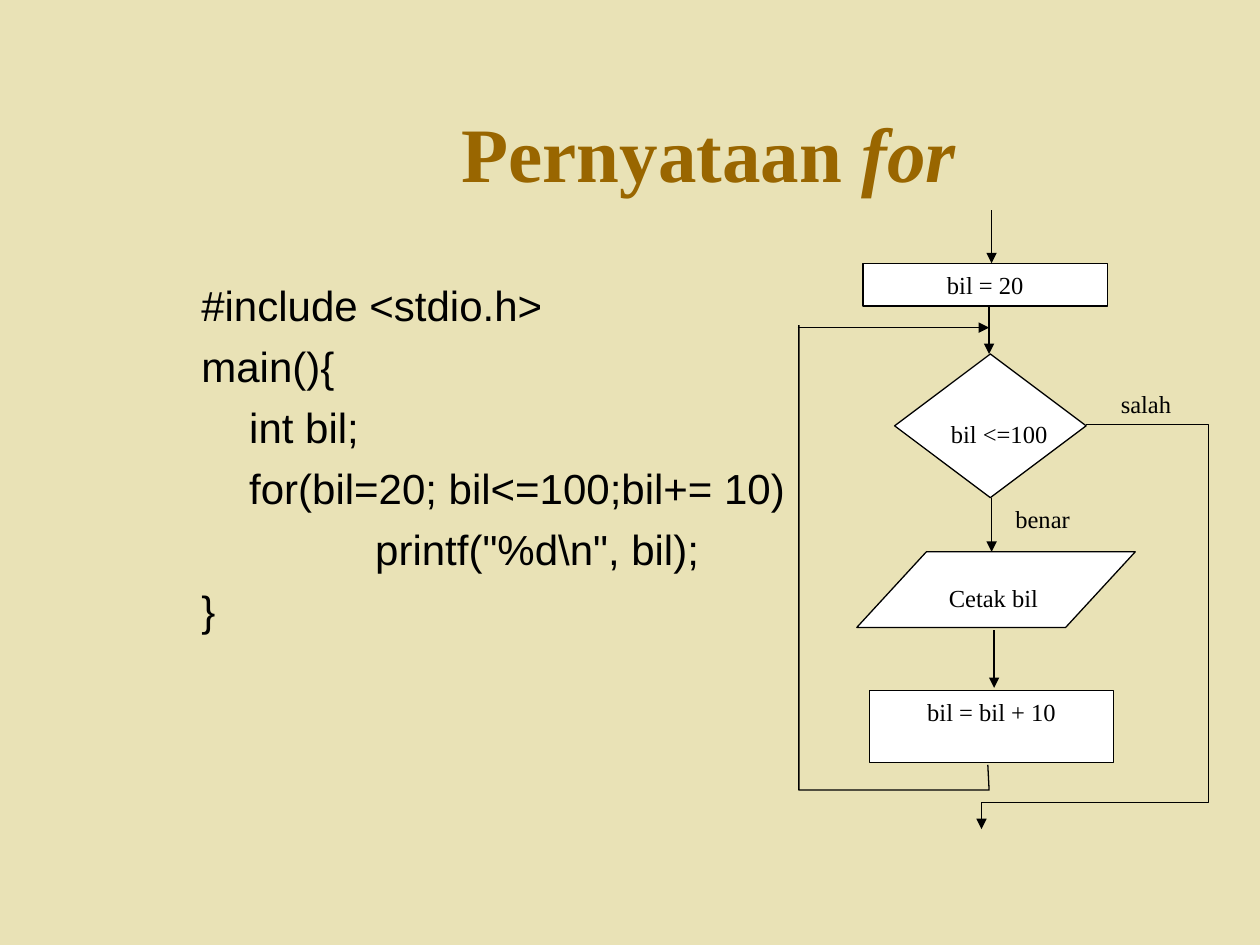
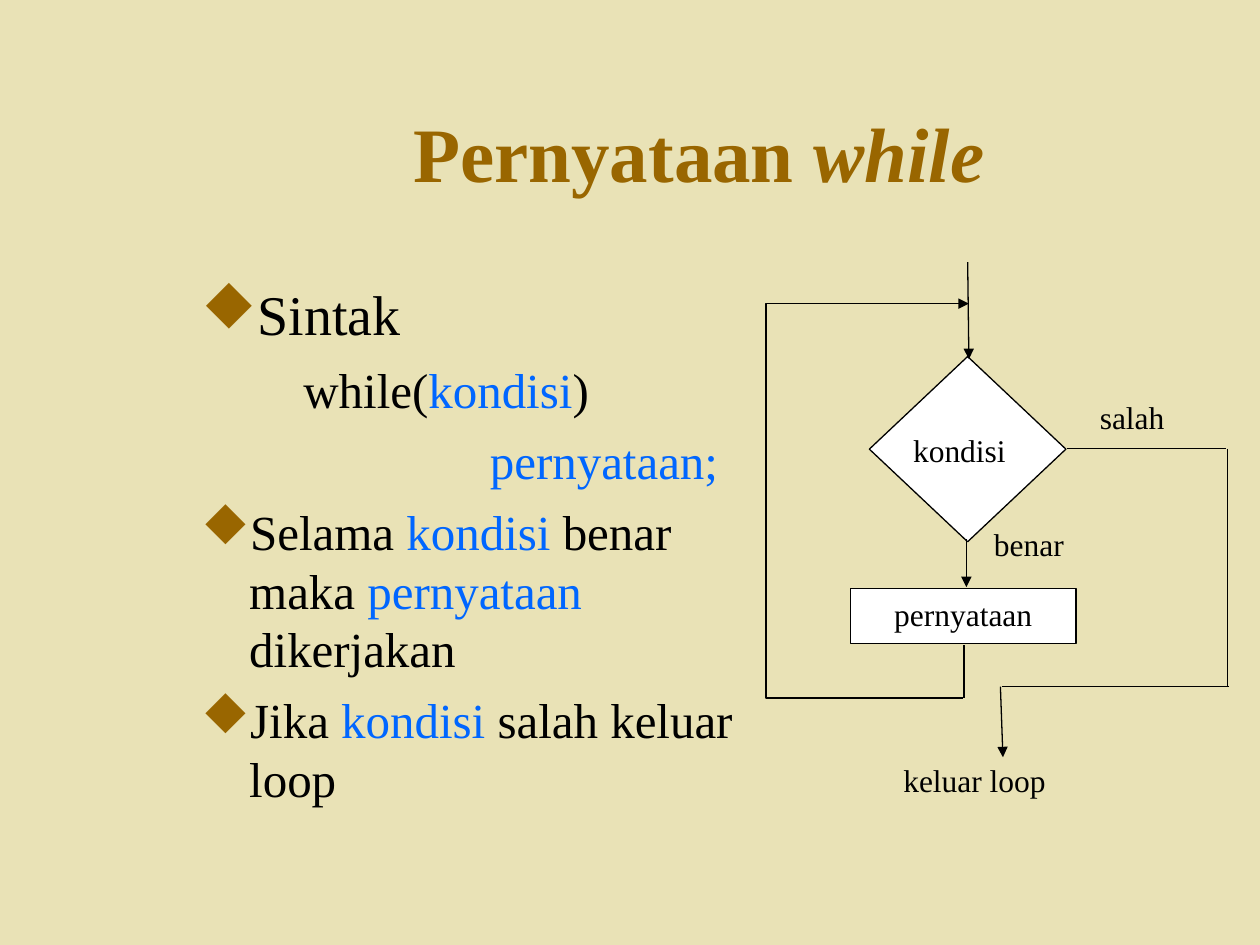
from lxml import etree
from pptx import Presentation
from pptx.dml.color import RGBColor
from pptx.enum import shapes, text
from pptx.oxml.ns import qn
from pptx.util import Inches, Pt

COLORS = {
    "background": "E9E2B6",
    "accent": "996600",
    "term": "0066FF",
    "ink": "000000",
    "paper": "FFFFFF",
}
SERIF = "Times New Roman"
SANS = "Arial"
CENTER = text.PP_ALIGN.CENTER
LEFT = text.PP_ALIGN.LEFT
SHAPE = shapes.MSO_SHAPE


def color(name):
    return RGBColor.from_string(COLORS[name])


def add_slide(presentation):
    slide = presentation.slides.add_slide(presentation.slide_layouts[6])
    slide.background.fill.solid()
    slide.background.fill.fore_color.rgb = color("background")
    return slide


def add_run(paragraph, words, size, font=SERIF, ink="ink", bold=False, italic=False):
    run = paragraph.add_run()
    run.text = words
    run.font.name = font
    run.font.size = Pt(size)
    run.font.color.rgb = color(ink)
    run.font.bold = bold
    run.font.italic = italic


def add_text_frame(slide, box, anchor=text.MSO_ANCHOR.TOP):
    frame = slide.shapes.add_textbox(*map(Inches, box)).text_frame
    frame.word_wrap = True
    frame.vertical_anchor = anchor
    return frame


def add_title(slide, keyword):
    frame = add_text_frame(slide, (1.5, 0.58, 8.25, 1.25), text.MSO_ANCHOR.MIDDLE)
    paragraph = frame.paragraphs[0]
    paragraph.alignment = CENTER
    add_run(paragraph, "Pernyataan ", 44, ink="accent", bold=True)
    add_run(paragraph, keyword, 44, ink="accent", bold=True, italic=True)


def add_bullet(properties):
    bullet_color = etree.SubElement(properties, qn("a:buClr"))
    etree.SubElement(bullet_color, qn("a:srgbClr")).set("val", COLORS["accent"])
    bullet_font = etree.SubElement(properties, qn("a:buFont"))
    bullet_font.set("typeface", "Wingdings")
    bullet_font.set("charset", "2")
    etree.SubElement(properties, qn("a:buChar")).set("char", "u")


def add_body(slide, width, font, lines):
    frame = add_text_frame(slide, (1.5, 2.17, width, 4.5))
    for index, (indent, bulleted, size, space, parts) in enumerate(lines):
        paragraph = frame.add_paragraph() if index else frame.paragraphs[0]
        if index:
            paragraph.space_before = Pt(space)
        properties = paragraph._p.get_or_add_pPr()
        properties.set("marL", str(Inches(indent)))
        properties.set("indent", str(-Inches(indent) if bulleted else 0))
        if bulleted:
            add_bullet(properties)
        for words, ink in parts:
            add_run(paragraph, words, size, font, ink)


def add_label(slide, box, words, size, alignment=CENTER):
    paragraph = add_text_frame(slide, box).paragraphs[0]
    paragraph.alignment = alignment
    add_run(paragraph, words, size)


def style_line(line):
    line.color.rgb = color("ink")
    line.width = Pt(0.75)


def add_node(slide, kind, box, words="", size=14):
    node = slide.shapes.add_shape(kind, *map(Inches, box))
    node.shadow.inherit = False
    node.fill.solid()
    node.fill.fore_color.rgb = color("paper")
    style_line(node.line)
    if words:
        frame = node.text_frame
        frame.word_wrap = True
        frame.vertical_anchor = text.MSO_ANCHOR.TOP
        frame.paragraphs[0].alignment = CENTER
        add_run(frame.paragraphs[0], words, size)
    return node


def add_flow(slide, *points, arrow=True):
    corners = [(Inches(x), Inches(y)) for x, y in points]
    if len(corners) == 2:
        flow = slide.shapes.add_connector(
            shapes.MSO_CONNECTOR.STRAIGHT, *corners[0], *corners[1])
    else:
        builder = slide.shapes.build_freeform(*corners[0])
        builder.add_line_segments(corners[1:], close=False)
        flow = builder.convert_to_shape()
        flow.fill.background()
    style_line(flow.line)
    if arrow:
        tail = etree.SubElement(flow.line._get_or_add_ln(), qn("a:tailEnd"))
        tail.set("type", "triangle")
    etree.SubElement(flow._element.spPr, qn("a:effectLst"))


def build_for_slide(presentation):
    slide = add_slide(presentation)
    add_title(slide, "for")
    code = [
        (0, "#include <stdio.h>"),
        (0, "main(){"),
        (0.38, "int bil;"),
        (0.38, "for(bil=20; bil<=100;bil+= 10)"),
        (1.38, 'printf("%d\\n", bil);'),
        (0, "}"),
    ]
    add_body(slide, 5, SANS,
             [(indent, False, 24, 6, [(line, "ink")]) for indent, line in code])

    add_node(slide, SHAPE.RECTANGLE, (6.85, 2.09, 1.94, 0.34), "bil = 20")
    add_node(slide, SHAPE.DIAMOND, (7.1, 2.81, 1.52, 1.14))
    output = add_node(slide, SHAPE.PARALLELOGRAM, (6.8, 4.38, 2.21, 0.6))
    output.adjustments[0] = 0.92
    add_node(slide, SHAPE.RECTANGLE, (6.9, 5.48, 1.94, 0.57), "bil = bil + 10")

    for x, top, bottom in [(7.87, 1.67, 2.09), (7.85, 2.44, 2.81),
                           (7.87, 3.95, 4.38), (7.89, 5, 5.46)]:
        add_flow(slide, (x, top), (x, bottom))
    add_flow(slide, (8.62, 3.37), (9.59, 3.37), (9.59, 6.37), (7.79, 6.37), (7.79, 6.58))
    add_flow(slide, (7.84, 6.07), (7.85, 6.27), (6.34, 6.27), (6.34, 2.58), arrow=False)
    add_flow(slide, (6.33, 2.6), (7.85, 2.6))

    for box, words in [
        ((6.96, 3.28, 1.94, 0.28), "bil <=100"),
        ((7.08, 4.58, 1.66, 0.28), "Cetak bil "),
        ((8.52, 3.04, 1.15, 0.34), "salah"),
        ((7.79, 3.95, 0.97, 0.29), "benar"),
    ]:
        add_label(slide, box, words, 14)


def build_while_slide(presentation):
    slide = add_slide(presentation)
    add_title(slide, "while ")
    condition = ("kondisi", "term")
    add_body(slide, 4.5, SERIF, [
        (0.38, True, 32, 0, [("Sintak", "ink")]),
        (0.81, False, 28, 7, [("while(", "ink"), condition, (")", "ink")]),
        (2.29, False, 28, 7, [("pernyataan;", "term")]),
        (0.38, True, 28, 7, [("Selama ", "ink"), condition, (" benar maka ", "ink"),
                             ("pernyataan", "term"), (" dikerjakan", "ink")]),
        (0.38, True, 28, 7, [("Jika ", "ink"), condition, (" salah keluar loop", "ink")]),
    ])

    add_node(slide, SHAPE.RECTANGLE, (6.75, 4.67, 1.79, 0.44), "pernyataan", 18)
    add_node(slide, SHAPE.FLOWCHART_DECISION, (6.9, 2.83, 1.56, 1.47))

    add_flow(slide, (6.73, 5.54), (6.08, 5.54), (6.08, 2.41), (7.69, 2.41))
    for start, end in [((7.68, 2.08), (7.69, 2.85)),
                       ((7.67, 4.28), (7.67, 4.66)),
                       ((7.94, 5.45), (7.96, 6.01))]:
        add_flow(slide, start, end)
    for start, end in [((6.64, 5.54), (7.64, 5.54)),
                       ((7.65, 5.12), (7.65, 5.54)),
                       ((8.47, 3.56), (9.73, 3.56)),
                       ((9.74, 3.56), (9.74, 5.45)),
                       ((9.75, 5.45), (7.95, 5.45))]:
        add_flow(slide, start, end, arrow=False)

    for box, words, alignment in [
        ((7.03, 3.37, 1.17, 0.4), "kondisi", CENTER),
        ((7.79, 4.12, 0.93, 0.47), "benar", LEFT),
        ((8.63, 3.11, 0.92, 0.45), "salah", LEFT),
        ((6.77, 5.99, 1.93, 0.43), "keluar loop", CENTER),
    ]:
        add_label(slide, box, words, 18, alignment)


def main():
    presentation = Presentation()
    presentation.slide_width = Inches(10)
    presentation.slide_height = Inches(7.5)
    build_for_slide(presentation)
    build_while_slide(presentation)
    presentation.save("out.pptx")


if __name__ == "__main__":
    main()
